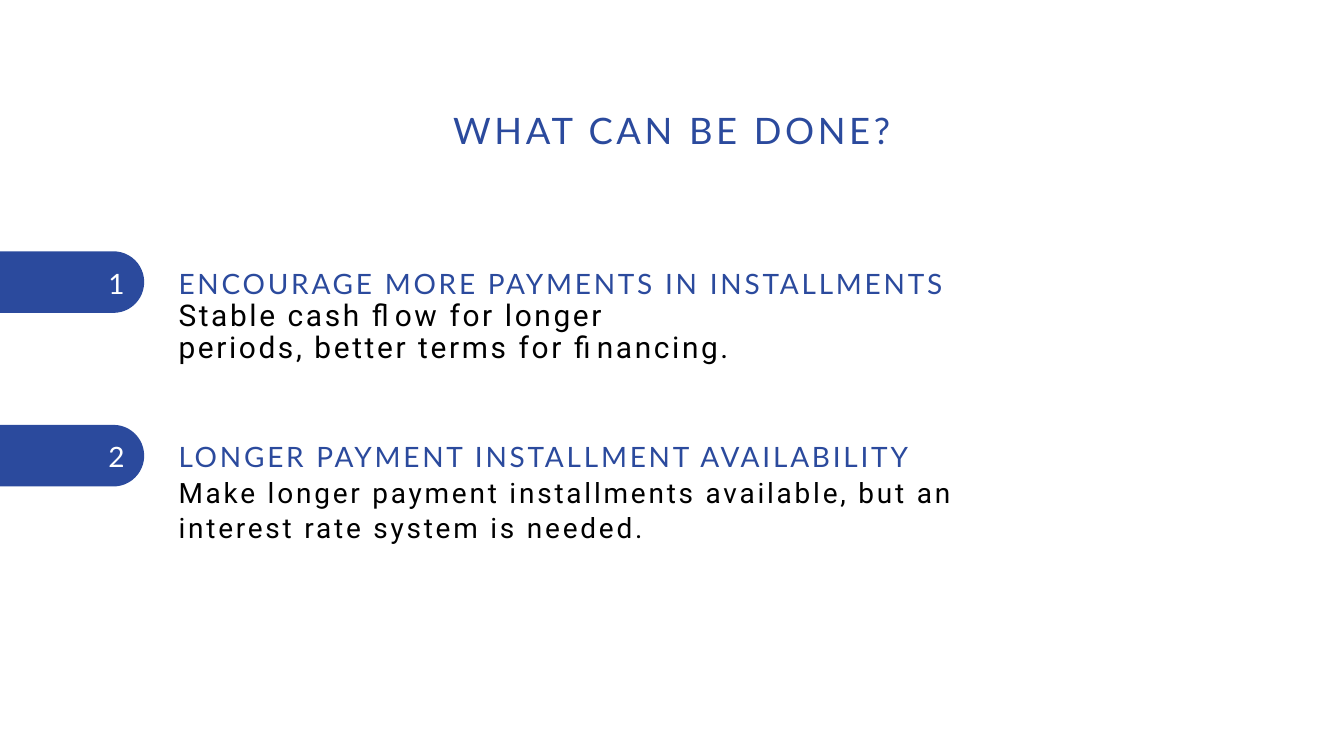
from pptx import Presentation
from pptx.dml.color import RGBColor
from pptx.enum.shapes import MSO_SHAPE
from pptx.enum.text import MSO_ANCHOR, MSO_AUTO_SIZE, PP_ALIGN
from pptx.util import Emu, Pt

PX = 9525  # 96 px to the inch
BLUE, WHITE, BLACK = "2B4A9D", "FFFFFF", "000000"


def px(*values):
    return [Emu(v * PX) for v in values]


def write(s, text, font="Lato", size=30, color=BLUE, line=42, spacing=3,
          align=PP_ALIGN.LEFT):
    tf = s.text_frame
    tf.word_wrap = True
    tf.auto_size = MSO_AUTO_SIZE.NONE
    tf.vertical_anchor = MSO_ANCHOR.TOP
    tf.margin_left = tf.margin_right = tf.margin_top = tf.margin_bottom = 0
    p = tf.paragraphs[0]
    p.alignment = align
    p.line_spacing = Pt(line)
    p.space_before = Pt(0)
    r = p.add_run()
    r.text = text
    r.font.name = font
    r.font.size = Pt(size)
    r.font.color.rgb = RGBColor.from_string(color)
    r.font._element.set("spc", str(round(spacing * 100)))


prs = Presentation()
prs.slide_width, prs.slide_height = px(1920, 1080)
slide = prs.slides.add_slide(prs.slide_layouts[5])
shapes = slide.shapes

# Title
title = shapes.title
title.left, title.top, title.width, title.height = px(409, 144, 1102, 66)
write(title, "WHAT CAN BE DONE?", size=39, line=54.6, spacing=3.9,
      align=PP_ALIGN.CENTER)

# Numbered points: heading, body, body box (top offset, width, height), format
points = [
    ("ENCOURAGE MORE PAYMENTS IN INSTALLMENTS",
     "Stable cash flow for longer periods, better terms for financing.",
     (69, 800, 94), dict(size=32, line=35, spacing=2.8)),
    ("LONGER PAYMENT INSTALLMENT AVAILABILITY",
     "Make longer payment installments available, but an interest rate "
     "system is needed.",
     (70, 1223, 98), dict(size=30, line=37.5, spacing=3)),
]
TAB_W, TAB_H = 206, 88
TEXT_X = 255

for i, (heading, body, (offset, width, height), style) in enumerate(points):
    top = 359 + 248 * i

    # Tab at the left edge, a round-topped shape turned to the right
    tab = shapes.add_shape(
        MSO_SHAPE.ROUND_2_SAME_RECTANGLE,
        *px((TAB_W - TAB_H) // 2, top - (TAB_W - TAB_H) // 2, TAB_H, TAB_W))
    tab.rotation = 90
    tab.adjustments[0] = 0.5
    tab.shadow.inherit = False
    tab.fill.solid()
    tab.fill.fore_color.rgb = RGBColor.from_string(BLUE)
    tab.line.fill.background()

    # Number, heading and body
    number = shapes.add_textbox(*px(141, top + 13, 51, 55))
    write(number, str(i + 1), color=WHITE, align=PP_ALIGN.CENTER)
    write(shapes.add_textbox(*px(TEXT_X, top + 13, 1360, 55)), heading)
    write(shapes.add_textbox(*px(TEXT_X, top + offset, width, height)), body,
          font="Roboto", color=BLACK, **style)

prs.save("out.pptx")
